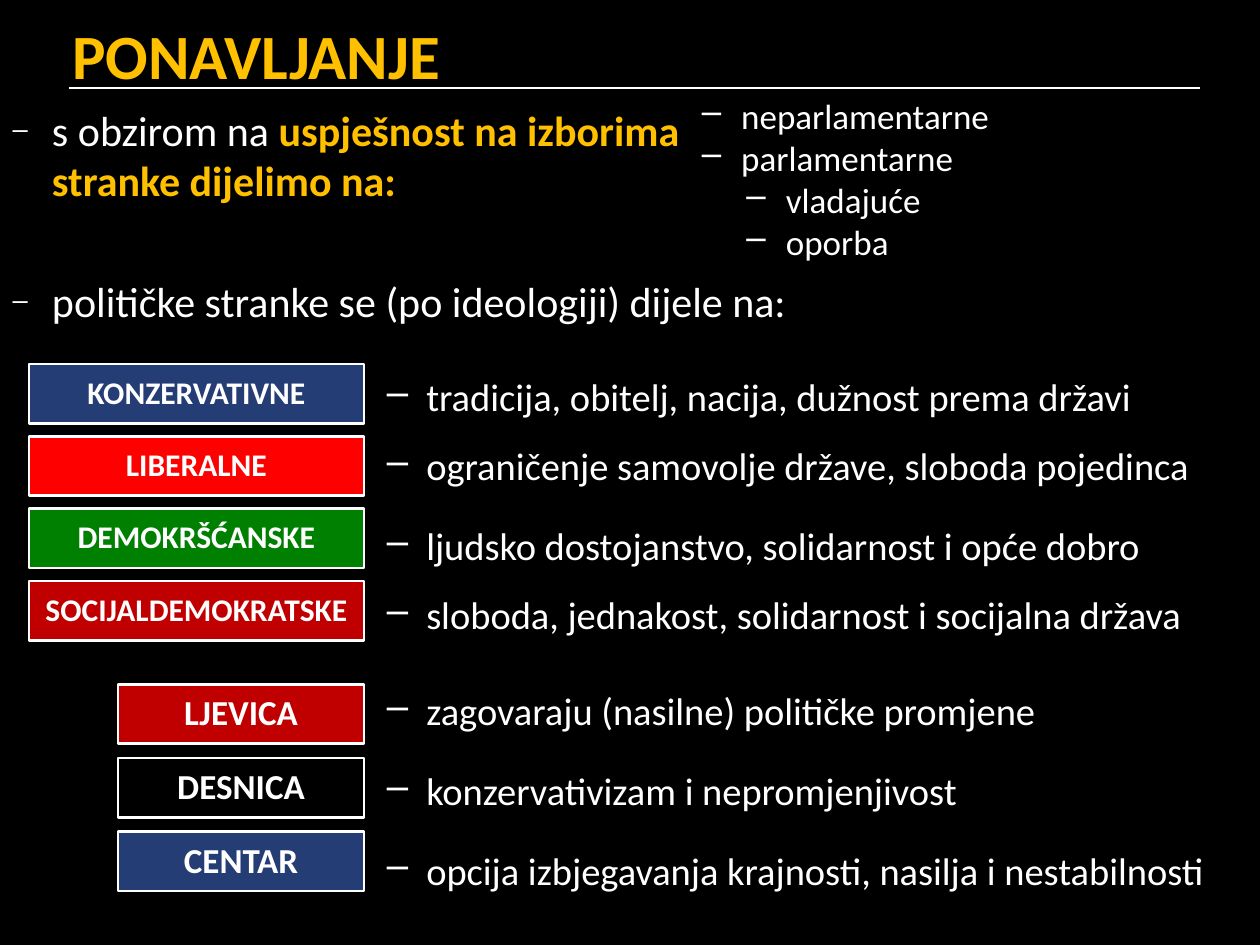
from lxml.etree import SubElement
from pptx import Presentation
from pptx.dml.color import RGBColor as Color
from pptx.enum.shapes import MSO_CONNECTOR as Connector, MSO_SHAPE as Shape
from pptx.enum.text import MSO_ANCHOR as Anchor, MSO_AUTO_SIZE as AutoSize, PP_ALIGN as Align
from pptx.oxml.ns import qn
from pptx.util import Pt

THEME = {
    "font": "Calibri",
    "black": "000000", "white": "FFFFFF", "gold": "FFC000", "blue": "253D75",
    "red": "FF0000", "green": "008000", "crimson": "C00000",
    "title": 36, "body": 24, "detail": 22, "small": 20, "label": 18,
}


def add_span(para, text, size, color="white", bold=False):
    span = para.add_run()
    span.text = text
    span.font.name = THEME["font"]
    span.font.size = Pt(THEME[size])
    span.font.color.rgb = Color.from_string(THEME[color])
    span.font.bold = bold


def set_dash(para, before=0, spacing=1.0, indent=22.5, percent=100):
    para.space_before = Pt(before)
    para.line_spacing = spacing
    props = para._p.get_or_add_pPr()
    props.set("marL", str(Pt(indent)))
    props.set("indent", str(Pt(-22.5)))
    bullet_color = SubElement(props, qn("a:buClr"))
    SubElement(bullet_color, qn("a:srgbClr")).set("val", THEME["white"])
    SubElement(props, qn("a:buSzPct")).set("val", str(percent * 1000))
    SubElement(props, qn("a:buChar")).set("char", "–")


deck = Presentation()
deck.slide_width, deck.slide_height = Pt(720), Pt(540)
page = deck.slides.add_slide(deck.slide_layouts[1])
page.background.fill.solid()
page.background.fill.fore_color.rgb = Color.from_string(THEME["black"])

# Title and the rule below it
title = page.shapes.title
title.left, title.top, title.width, title.height = Pt(34), Pt(6), Pt(686), Pt(45)
title.text_frame.auto_size = AutoSize.NONE
title.text_frame.vertical_anchor = Anchor.TOP
para = title.text_frame.paragraphs[0]
para.alignment = Align.LEFT
add_span(para, "PONAVLJANJE", "title", "gold", True)

rule = page.shapes.add_connector(Connector.STRAIGHT, Pt(39.5), Pt(50.4), Pt(686), Pt(50.4))
rule.line.color.rgb = Color.from_string(THEME["white"])
rule.line.width = Pt(1)
SubElement(rule._element.spPr, qn("a:effectLst"))

# Main points
body = page.placeholders[1]
body.left, body.top, body.width, body.height = Pt(0), Pt(56), Pt(720), Pt(467)
body.text_frame.auto_size = AutoSize.NONE
para = body.text_frame.paragraphs[0]
set_dash(para, before=12, percent=65)
add_span(para, "s obzirom na ", "body")
add_span(para, "uspješnost na izborima", "body", "gold", True)
para.add_line_break()
add_span(para, "stranke dijelimo na:", "body", "gold", True)
para = body.text_frame.add_paragraph()
set_dash(para, before=40, percent=65)
add_span(para, "političke stranke se (po ideologiji) dijele na:", "body")

# Dash lists: left, top, width, height, size, line spacing, (text, level, space before)
LISTS = [
    (394, 50.4, 230, 104.4, "small", 1.0, [
        ("neparlamentarne", 0, 0),
        ("parlamentarne", 0, 0),
        ("vladajuće", 1, 0),
        ("oporba", 1, 0),
    ]),
    (214, 196.5, 495, 179.5, "detail", 1.5, [
        ("tradicija, obitelj, nacija, dužnost prema državi", 0, 0),
        ("ograničenje samovolje države, sloboda pojedinca", 0, 0),
        ("ljudsko dostojanstvo, solidarnost i opće dobro", 0, 6),
        ("sloboda, jednakost, solidarnost i socijalna država", 0, 0),
    ]),
    (214, 376, 495, 135.5, "detail", 1.5, [
        ("zagovaraju (nasilne) političke promjene", 0, 6),
        ("konzervativizam i nepromjenjivost", 0, 6),
        ("opcija izbjegavanja krajnosti, nasilja i nestabilnosti", 0, 6),
    ]),
]
for left, top, width, height, size, spacing, items in LISTS:
    box = page.shapes.add_textbox(Pt(left), Pt(top), Pt(width), Pt(height))
    frame = box.text_frame
    frame.word_wrap = True
    frame.auto_size = AutoSize.SHAPE_TO_FIT_TEXT
    for index, (text, level, before) in enumerate(items):
        para = frame.add_paragraph() if index else frame.paragraphs[0]
        para.level = level
        set_dash(para, before, spacing, indent=22.5 + 25.5 * level)
        add_span(para, text, size)

# Label columns: left, top, width, step, size, (text, fill)
COLUMNS = [
    (16.5, 208, 191.5, 41.3, "label", [
        ("KONZERVATIVNE", "blue"),
        ("LIBERALNE", "red"),
        ("DEMOKRŠĆANSKE", "green"),
        ("SOCIJALDEMOKRATSKE", "crimson"),
    ]),
    (67.5, 391, 140.5, 42.1, "small", [
        ("LJEVICA", "crimson"),
        ("DESNICA", "black"),
        ("CENTAR", "blue"),
    ]),
]
for left, top, width, step, size, labels in COLUMNS:
    for row, (text, color) in enumerate(labels):
        label = page.shapes.add_shape(
            Shape.RECTANGLE, Pt(left), Pt(top + row * step), Pt(width), Pt(34))
        label.shadow.inherit = False
        label.fill.solid()
        label.fill.fore_color.rgb = Color.from_string(THEME[color])
        label.line.color.rgb = Color.from_string(THEME["white"])
        label.line.width = Pt(1.5)
        label.text_frame.word_wrap = True
        label.text_frame.vertical_anchor = Anchor.MIDDLE
        para = label.text_frame.paragraphs[0]
        para.alignment = Align.CENTER
        para.line_spacing = 0.93
        add_span(para, text, size, bold=True)

deck.save("out.pptx")
